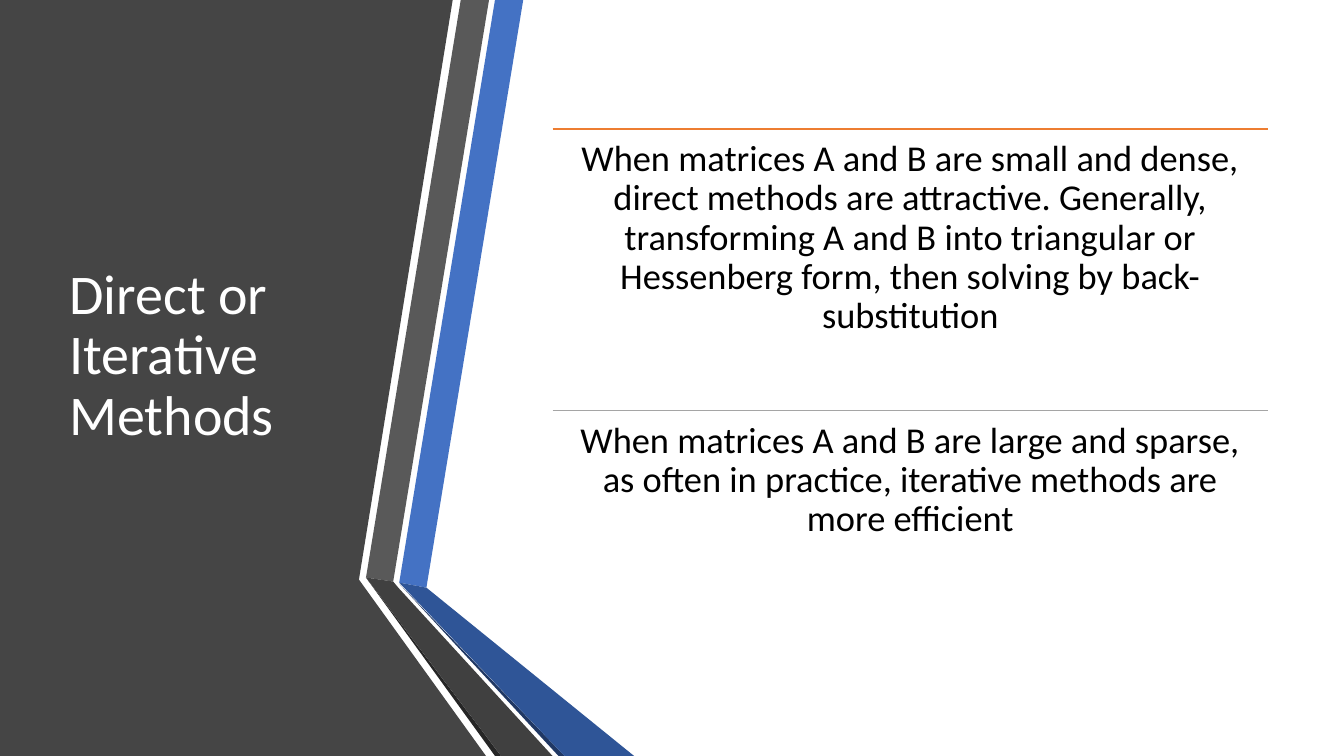
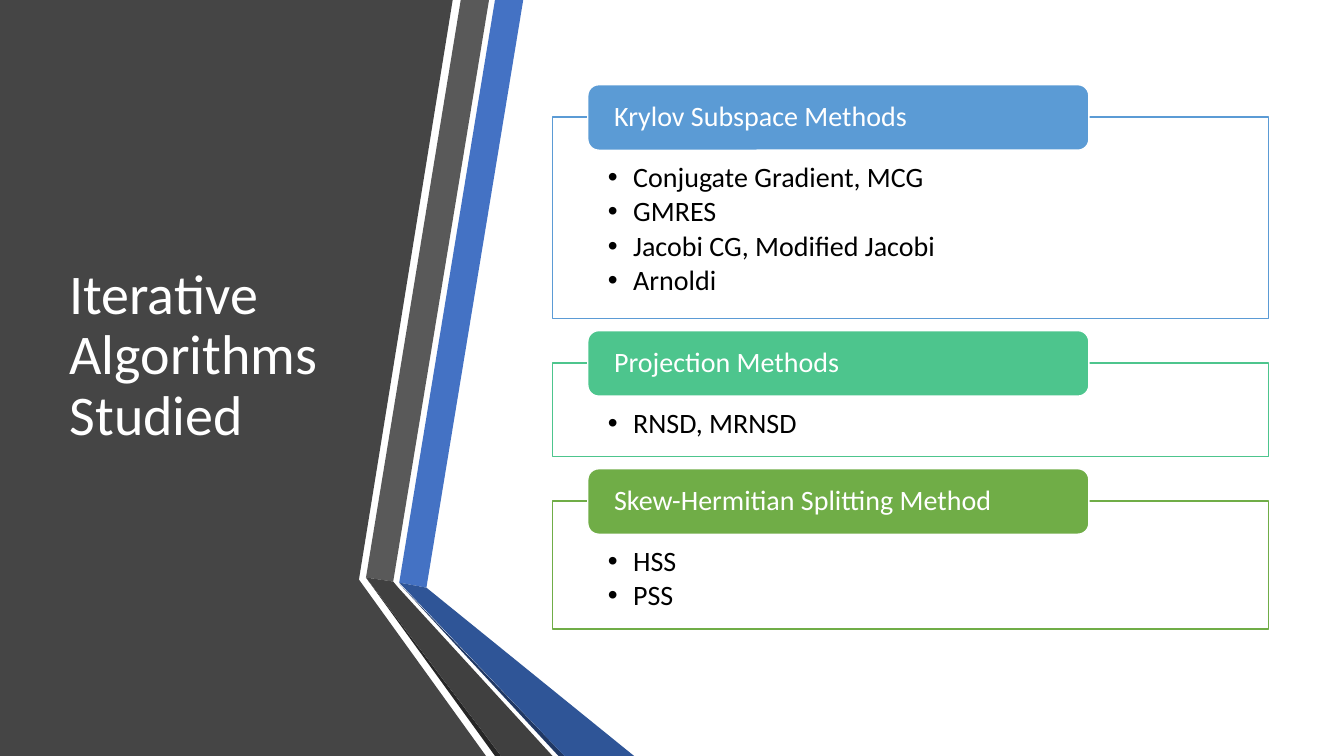
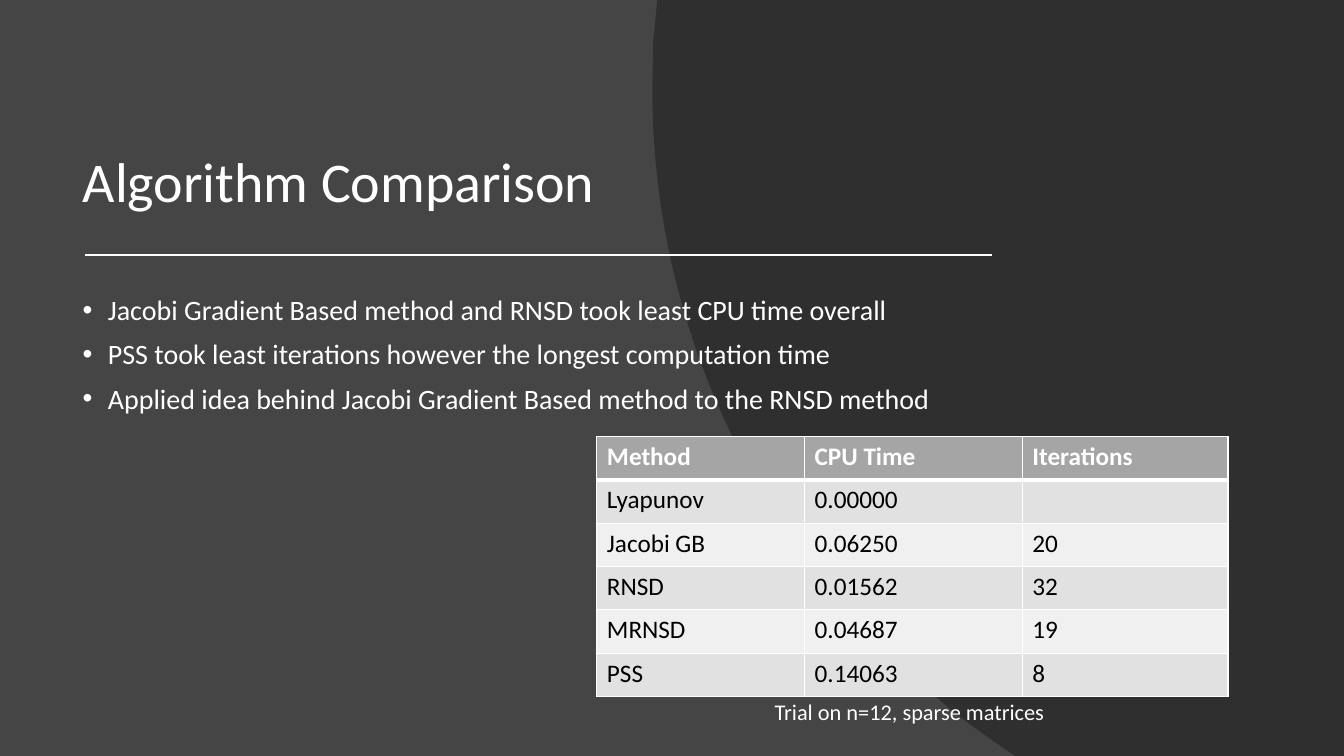
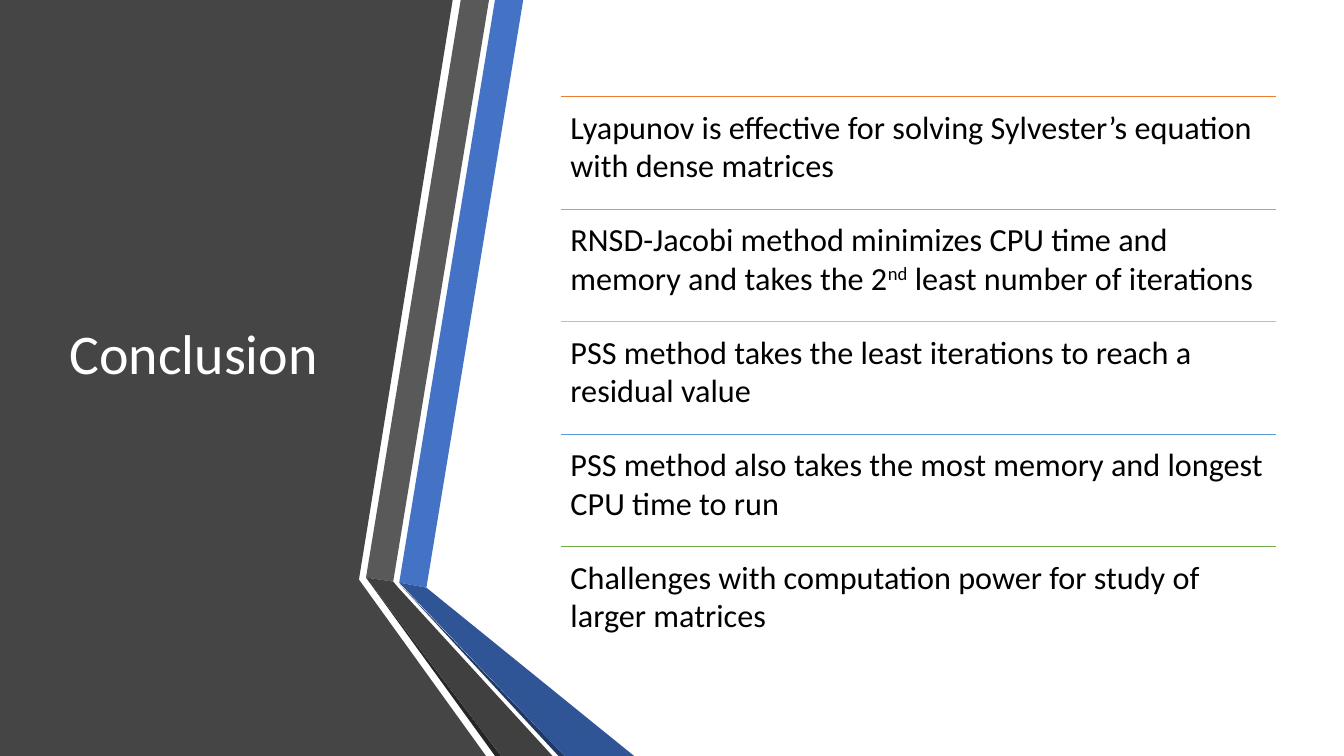
from dataclasses import dataclass

from lxml import etree
from pptx import Presentation
from pptx.dml.color import RGBColor
from pptx.enum import shapes as es, text as et
from pptx.oxml.ns import qn
from pptx.util import Inches, Pt


@dataclass(frozen=True)
class Theme:
    font: str = "Calibri"
    white: str = "FFFFFF"
    black: str = "000000"
    dark: str = "454545"
    shade: str = "262626"
    blue: str = "5B9BD5"
    orange: str = "ED7D31"
    gray: str = "A5A5A5"
    gold: str = "FFC000"
    green: str = "70AD47"
    mint: str = "4DC58D"
    rows: tuple = ("E1E1E1", "F0F0F0")
    title: int = 40
    large: int = 26
    medium: int = 23
    body: int = 20
    cell: int = 18
    note: int = 16


T = Theme()
WIDE, HIGH = 13.33, 7.5
LEFT, CENTER = et.PP_ALIGN.LEFT, et.PP_ALIGN.CENTER
TOP, MIDDLE, BOTTOM = (et.MSO_ANCHOR.TOP, et.MSO_ANCHOR.MIDDLE,
                       et.MSO_ANCHOR.BOTTOM)

# Side panel and the folded ribbons beside it: colour, corner points
BANDS = [
    (T.dark, [(0, 0), (4.49, 0), (3.56, 5.75), (4.82, HIGH), (0, HIGH)]),
    ("4472C4", [(3.96, 5.78), (4.23, 5.83), (5.19, 0), (4.91, 0)]),
    ("595959", [(4.85, 0), (4.57, 0), (3.63, 5.73), (3.9, 5.77)]),
    (T.shade, [(3.63, 5.73), (4.91, HIGH), (4.97, HIGH)]),
    ("203864", [(3.96, 5.79), (5.54, HIGH), (5.6, HIGH)]),
    ("2F5597", [(3.96, 5.78), (5.6, HIGH), (6.29, HIGH), (4.23, 5.83)]),
    ("404040", [(5.48, HIGH), (3.95, 5.83), (3.9, 5.77), (3.63, 5.73),
                (4.97, HIGH)]),
]


def rgb(code):
    return RGBColor.from_string(code)


def assign(obj, **values):
    for name, value in values.items():
        setattr(obj, name, value)


def place(shape, box):
    for name, value in zip(("left", "top", "width", "height"), box):
        setattr(shape, name, Inches(value))


def paint(shape, fill, line=None):
    shape.shadow.inherit = False
    shape.fill.solid()
    shape.fill.fore_color.rgb = rgb(fill)
    if line:
        shape.line.color.rgb = rgb(line)
        shape.line.width = Pt(1)
    else:
        shape.line.fill.background()


def write(frame, items, size, color, anchor=TOP, inset=(.1, .05, .1, .05),
          bullet=False, bold=False, **format):
    """Fill a frame; an item is a string or a list of (text, raised) runs."""
    assign(frame, word_wrap=True, auto_size=et.MSO_AUTO_SIZE.NONE,
           vertical_anchor=anchor)
    sides = ("margin_left", "margin_top", "margin_right", "margin_bottom")
    assign(frame, **{s: Inches(v) for s, v in zip(sides, inset)})
    for i, item in enumerate(items):
        para = frame.add_paragraph() if i else frame.paragraphs[0]
        assign(para, **{"alignment": LEFT, "space_before": Pt(0), **format})
        if bullet:
            props = para._p.get_or_add_pPr()
            props.set("marL", str(Inches(.25)))
            props.set("indent", str(-Inches(.25)))
            etree.SubElement(props, qn("a:buFont"), typeface="Arial")
            etree.SubElement(props, qn("a:buChar"), char="•")
        for words, raised in [(item, False)] if isinstance(item, str) else item:
            run = para.add_run()
            run.text = words
            assign(run.font, name=T.font, size=Pt(size), bold=bold)
            run.font.color.rgb = rgb(color)
            if raised:
                run._r.get_or_add_rPr().set("baseline", "30000")


def label(slide, box, items, size, color, **format):
    shape = slide.shapes.add_textbox(*map(Inches, box))
    write(shape.text_frame, items, size, color, **format)


def rule(slide, x, y, width, color, weight=1):
    line = slide.shapes.add_connector(
        es.MSO_CONNECTOR.STRAIGHT, *map(Inches, (x, y, x + width, y)))
    line.line.color.rgb = rgb(color)
    line.line.width = Pt(weight)
    etree.SubElement(line._element.spPr, qn("a:effectLst"))


def outline(slide, points, color):
    spots = [(Inches(x), Inches(y)) for x, y in points]
    form = slide.shapes.build_freeform(*spots[0])
    form.add_line_segments(spots[1:], close=True)
    shape = form.convert_to_shape()
    paint(shape, color)
    return shape


def curve(a, b, c, d, steps=40):
    """Points on a cubic Bezier curve."""
    spots = []
    for i in range(steps + 1):
        t = i / steps
        s = 1 - t
        spots.append(tuple(
            s**3 * p + 3 * s * s * t * q + 3 * s * t * t * r + t**3 * e
            for p, q, r, e in zip(a, b, c, d)))
    return spots


def start(deck, layout, back):
    slide = deck.slides.add_slide(deck.slide_layouts[layout])
    slide.background.fill.solid()
    slide.background.fill.fore_color.rgb = rgb(back)
    return slide


def head(slide, box, words, anchor):
    title = slide.shapes.title
    place(title, box)
    write(title.text_frame, [words], T.title, T.white, anchor,
          line_spacing=.9)
    slide.shapes._spTree.append(title._element)


def panel(deck, words):
    """Start a white slide with the dark side panel and its title."""
    slide = start(deck, 5, T.white)
    for color, points in BANDS:
        outline(slide, points, color)
    head(slide, (.59, .75, 3.04, 5.58), words, MIDDLE)
    return slide


def ruled(slide, box, items, size, inset, **format):
    """Stack equal text rows, each under a coloured rule."""
    x, y, width, height = box
    step = height / len(items)
    for i, (color, item) in enumerate(items):
        top = y + i * step
        rule(slide, x, top, width, color)
        label(slide, (x, top, width, step), [item], size, T.black,
              inset=(inset,) * 4, space_after=Pt(size * .35), **format)


def card(slide, box, color, name, items):
    """Draw a bordered list with its name on a tab over the top edge."""
    x, y, width, height = box
    frame = slide.shapes.add_shape(es.MSO_SHAPE.RECTANGLE, *map(Inches, box))
    paint(frame, T.white, color)
    write(frame.text_frame, items, T.body, T.black, bullet=True,
          inset=(.55, .46, .55, .16), line_spacing=.9, space_after=Pt(3))
    tab = slide.shapes.add_shape(
        es.MSO_SHAPE.ROUNDED_RECTANGLE,
        *map(Inches, (x + .35, y - .32, width * .7, .65)))
    paint(tab, color, T.white)
    write(tab.text_frame, [name], T.body, T.white, MIDDLE,
          inset=(.23, 0, .23, 0), line_spacing=.9)


def border(cell, low):
    props = cell._tc.get_or_add_tcPr()
    for side, weight in (("L", 1), ("R", 1), ("T", 1), ("B", low)):
        edge = etree.SubElement(props, qn("a:ln" + side), w=str(Pt(weight)))
        fill = etree.SubElement(edge, qn("a:solidFill"))
        etree.SubElement(fill, qn("a:srgbClr"), val=T.white)


def grid(slide, x, y, widths, step, data):
    box = (x, y, sum(widths), step * len(data))
    table = slide.shapes.add_table(
        len(data), len(widths), *map(Inches, box)).table
    for column, width in zip(table.columns, widths):
        column.width = Inches(width)
    for i, row in enumerate(data):
        table.rows[i].height = Inches(step)
        for j, value in enumerate(row):
            cell = table.cell(i, j)
            border(cell, 1 if i else 3)
            cell.fill.solid()
            cell.fill.fore_color.rgb = rgb(T.rows[(i - 1) % 2] if i else T.gray)
            if value:
                write(cell.text_frame, [value], T.cell,
                      T.black if i else T.white, bold=not i)


def methods(deck):
    slide = panel(deck, "Direct or Iterative Methods")
    ruled(slide, (5.48, 1.28, 7.1, 5.59), [
        (T.orange, "When matrices A and B are small and dense, direct methods "
                   "are attractive. Generally, transforming A and B into "
                   "triangular or Hessenberg form, then solving by "
                   "back-substitution"),
        (T.gray, "When matrices A and B are large and sparse, as often in "
                 "practice, iterative methods are more efficient"),
    ], T.large, .11, alignment=CENTER, line_spacing=.9)


def studied(deck):
    slide = panel(deck, "Iterative Algorithms Studied")
    top, gap = 1.16, .44
    for height, color, name, items in [
        (2, T.blue, "Krylov Subspace Methods",
         ["Conjugate Gradient, MCG", "GMRES", "Jacobi CG, Modified Jacobi",
          "Arnoldi"]),
        (.93, T.mint, "Projection Methods", ["RNSD, MRNSD"]),
        (1.27, T.green, "Skew-Hermitian Splitting Method", ["HSS", "PSS"]),
    ]:
        card(slide, (5.48, top, 7.1, height), color, name, items)
        top += height + gap


def compare(deck):
    slide = start(deck, 1, T.dark)
    arc = (curve((9.95, 7.42), (7.85, 6), (6.47, 3.6), (6.47, .88))
           + [(6.48, .4), (6.52, 0)])
    swoop = outline(slide, [(WIDE, 0), (WIDE, HIGH), (10.07, HIGH)] + arc,
                    T.shade)
    tint = swoop._element.spPr.find(qn("a:solidFill"))[0]
    etree.SubElement(tint, qn("a:alpha"), val="70000")
    head(slide, (.72, .4, 9.86, 1.78), "Algorithm Comparison", BOTTOM)
    rule(slide, .84, 2.53, 9, T.white, 1.5)
    body = slide.placeholders[1]
    place(body, (.72, 2.89, 9.86, 3.64))
    write(body.text_frame, [
        "Jacobi Gradient Based method and RNSD took least CPU time overall",
        "PSS took least iterations however the longest computation time",
        "Applied idea behind Jacobi Gradient Based method to the RNSD method",
    ], T.body, T.white, bullet=True, line_spacing=.9, space_before=Pt(10))
    slide.shapes._spTree.append(body._element)
    grid(slide, 5.92, 4.33, (2.06, 2.16, 2.04), .43, [
        ("Method", "CPU Time", "Iterations"),
        ("Lyapunov", "0.00000", ""),
        ("Jacobi GB", "0.06250", "20"),
        ("RNSD", "0.01562", "32"),
        ("MRNSD", "0.04687", "19"),
        ("PSS", "0.14063", "8"),
    ])
    label(slide, (7.29, 6.91, 3.51, .38), ["Trial on n=12, sparse matrices "],
          T.note, T.white, alignment=CENTER, line_spacing=.9,
          space_before=Pt(10))


def conclude(deck):
    slide = panel(deck, "Conclusion")
    ruled(slide, (5.56, .96, 7.1, 5.58), [
        (T.orange, "Lyapunov is effective for solving Sylvester’s equation "
                   "with dense matrices"),
        (T.gray, [("RNSD-Jacobi method minimizes CPU time and memory and "
                   "takes the 2", False), ("nd", True),
                  (" least number of iterations", False)]),
        (T.gold, "PSS method takes the least iterations to reach a residual "
                 "value"),
        (T.blue, "PSS method also takes the most memory and longest CPU time "
                 "to run"),
        (T.green, "Challenges with computation power for study of larger "
                  "matrices"),
    ], T.medium, .1)


def main():
    deck = Presentation()
    assign(deck, slide_width=Inches(WIDE), slide_height=Inches(HIGH))
    for build in (methods, studied, compare, conclude):
        build(deck)
    deck.save("out.pptx")


if __name__ == "__main__":
    main()
